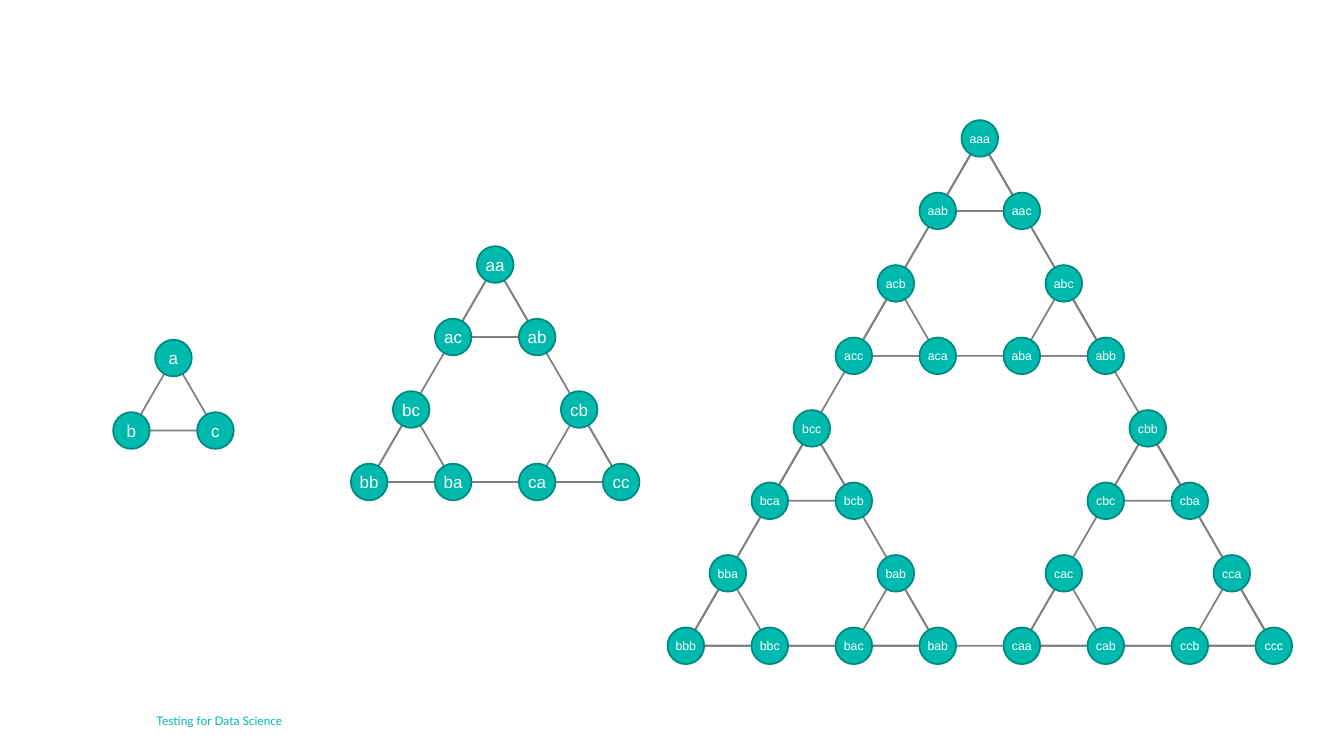
from dataclasses import dataclass
from typing import Iterator

from pptx import Presentation
from pptx.dml.color import RGBColor
from pptx.enum.shapes import MSO_SHAPE as Preset
from pptx.enum.text import MSO_ANCHOR as Anchor, PP_ALIGN as Align
from pptx.shapes.autoshape import Shape
from pptx.shapes.shapetree import GroupShapes
from pptx.text.text import TextFrame
from pptx.util import Emu, Inches, Pt

TEAL = RGBColor(0x00, 0xB9, 0xAD)
DARK_TEAL = RGBColor(0x00, 0x89, 0x80)
GREY = RGBColor(0x80, 0x80, 0x80)
WHITE = RGBColor(0xFF, 0xFF, 0xFF)

# Grid: a column is half the side of a smallest triangle, a row its height
SLIDE_W, SLIDE_H = Inches(21.99), Inches(12.37)
COLUMN = SLIDE_W / 32
ROW = SLIDE_H / 10.43
DISC = Inches(0.6)
OUTLINE = Pt(2)

DISC_FRAME = {
    "margin_left": Inches(0.04), "margin_right": Inches(0.04),
    "margin_top": Inches(0.05), "margin_bottom": Inches(0.05),
    "vertical_anchor": Anchor.MIDDLE, "word_wrap": False,
}
FOOTER_FRAME = {
    "margin_left": 0, "margin_right": 0, "margin_top": 0, "margin_bottom": 0,
    "vertical_anchor": Anchor.MIDDLE, "word_wrap": True,
}


@dataclass(frozen=True)
class HanoiGraph:
    """State graph of a puzzle; left and top are in columns and rows."""
    discs: int
    left: float
    top: float
    label_size: float
    states: str


GRAPHS = [
    HanoiGraph(2, 8.79, 3.65, 20, "aa ac ab bc bb ba cb ca cc"),
    HanoiGraph(1, 3.13, 4.94, 20, "a b c"),
    HanoiGraph(3, 16.33, 1.91, 14.5,
               "aaa aab aac acb acc aca abc aba abb "
               "bcc bca bcb bba bbb bbc bab bac bab "
               "cbb cbc cba cac caa cab cca ccb ccc"),
]


def write(frame: TextFrame, text: str, layout: dict, align: Align,
          font: dict, color: RGBColor) -> None:
    for attribute, value in layout.items():
        setattr(frame, attribute, value)
    paragraph = frame.paragraphs[0]
    paragraph.alignment = align
    run = paragraph.add_run()
    run.text = text
    for attribute, value in font.items():
        setattr(run.font, attribute, value)
    run.font.color.rgb = color


def add_outlined(shapes: GroupShapes, preset: Preset, left: float, top: float,
                 width: float, height: float, color: RGBColor) -> Shape:
    outlined = shapes.add_shape(
        preset, *(Emu(round(length)) for length in (left, top, width, height)))
    outlined.shadow.inherit = False
    outlined.line.color.rgb = color
    outlined.line.width = OUTLINE
    return outlined


def add_state(shapes: GroupShapes, state: str, column: float, row: float,
              label_size: float) -> None:
    disc = add_outlined(shapes, Preset.OVAL, column * COLUMN - DISC / 2,
                        row * ROW - DISC / 2, DISC, DISC, DARK_TEAL)
    disc.fill.solid()
    disc.fill.fore_color.rgb = TEAL
    write(disc.text_frame, state, DISC_FRAME, Align.CENTER,
          {"name": "Arial", "size": Pt(label_size)}, WHITE)


def add_moves(shapes: GroupShapes, order: int, left: float, top: float,
              states: Iterator[str], label_size: float) -> None:
    """Draw a triangle, then the three smaller ones (or states) at its corners."""
    span = 2 ** order - 1
    triangle = add_outlined(shapes, Preset.ISOSCELES_TRIANGLE, left * COLUMN,
                            top * ROW, 2 * span * COLUMN, span * ROW, GREY)
    triangle.fill.background()

    step = 2 ** (order - 1)
    corners = [(left + step, top), (left, top + step), (left + 2 * step, top + step)]
    for column, row in corners:
        if order == 1:
            add_state(shapes, next(states), column, row, label_size)
        else:
            add_moves(shapes, order - 1, column, row, states, label_size)


def main() -> None:
    deck = Presentation()
    deck.slide_width, deck.slide_height = SLIDE_W, SLIDE_H
    slide = deck.slides.add_slide(deck.slide_layouts[6])

    # Footer
    footer = slide.shapes.add_textbox(Inches(2.56), Inches(11.59),
                                      Inches(11.81), Inches(0.39))
    write(footer.text_frame, "Testing for Data Science", FOOTER_FRAME, Align.LEFT,
          {"name": "Lato", "size": Pt(14)}, TEAL)

    # State graphs for one, two and three discs
    for graph in GRAPHS:
        group = slide.shapes.add_group_shape()
        add_moves(group.shapes, graph.discs, graph.left, graph.top,
                  iter(graph.states.split()), graph.label_size)

    deck.save("out.pptx")


if __name__ == "__main__":
    main()
